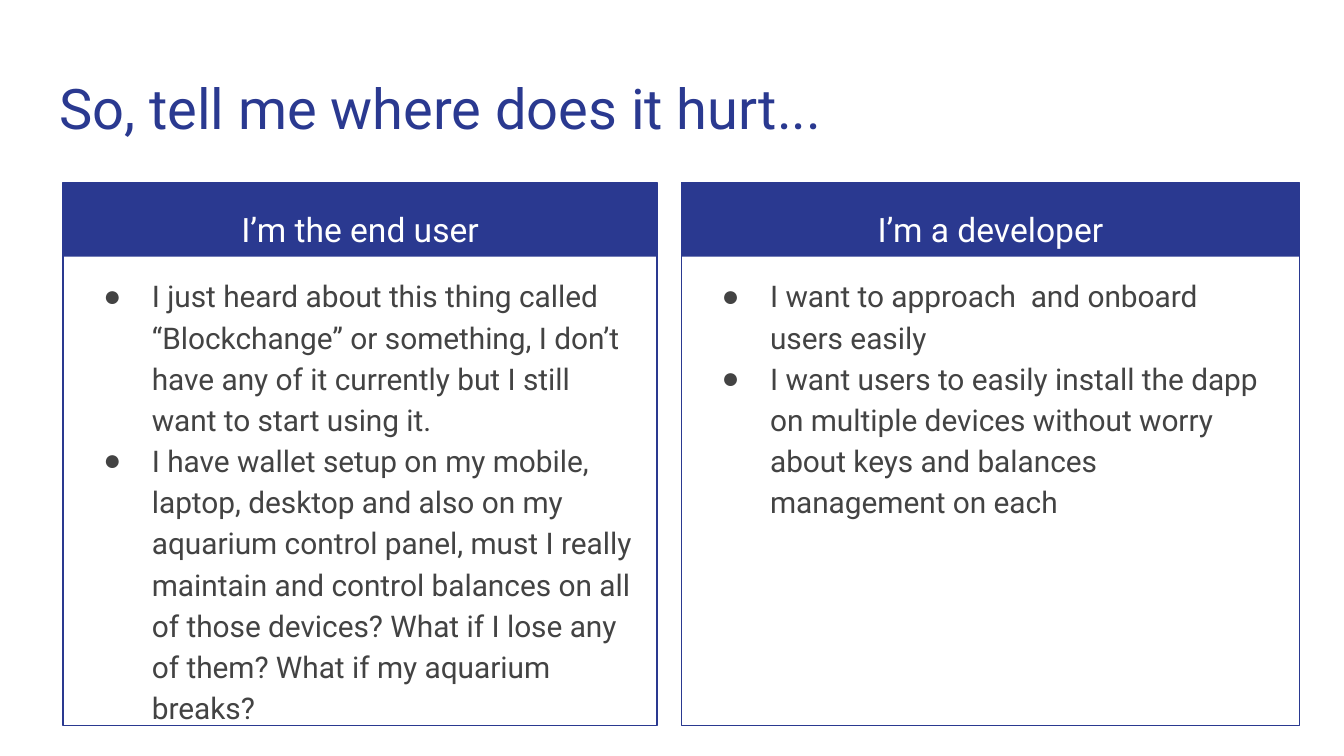
from dataclasses import dataclass

from lxml.etree import SubElement
from pptx import Presentation
from pptx.dml.color import RGBColor
from pptx.enum.shapes import MSO_SHAPE as Shape
from pptx.enum.text import MSO_ANCHOR as Anchor, MSO_AUTO_SIZE as AutoSize, PP_ALIGN as Align
from pptx.oxml.ns import qn
from pptx.util import Emu, Pt

EMU_PER_PX = 4572
COMPARISON_LAYOUT = 4
PANEL_TOP, PANEL_HEIGHT, BAND_HEIGHT = 272, 808, 110
HEADING_WIDTH, LIST_MARGIN = 546, 12


@dataclass(frozen=True)
class Theme:
    """Colours, font and type sizes of the slide."""
    navy: str = "2A3990"
    grey: str = "434343"
    white: str = "FFFFFF"
    font: str = "Roboto"
    title: int = 30
    heading: int = 18
    body: int = 16
    outline: float = 0.75


THEME = Theme()


@dataclass(frozen=True)
class Column:
    """One audience with its panel and list measures."""
    left: int
    width: int
    list_width: int
    heading: str
    pains: tuple


COLUMNS = [
    Column(94, 884, 862, "I’m the end user", (
        "I just heard about this thing called “Blockchange” or something, "
        "I don’t have any of it currently but I still want to start using it.",
        "I have wallet setup on my mobile, laptop, desktop and also on my "
        "aquarium control panel, must I really maintain and control balances "
        "on all of those devices? What if I lose any of them? "
        "What if my aquarium breaks?",
    )),
    Column(1014, 920, 892, "I’m a developer", (
        "I want to approach  and onboard users easily",
        "I want users to easily install the dapp on multiple devices without "
        "worry about keys and balances management on each",
    )),
]


def px(length):
    """Turn px into EMU."""
    return Emu(length * EMU_PER_PX)


def rgb(colour):
    """Turn a hex string into a colour."""
    return RGBColor.from_string(colour)


def add_bullet(paragraph):
    """Give a paragraph a round bullet with a hanging indent."""
    properties = paragraph._p.get_or_add_pPr()
    properties.set("marL", str(px(100)))
    properties.set("indent", str(px(-72)))
    bullet_colour = SubElement(properties, qn("a:buClr"))
    SubElement(bullet_colour, qn("a:srgbClr"), val=THEME.grey)
    SubElement(properties, qn("a:buChar"), char="●")


def fill_placeholder(placeholder, box, lines, size, colour, align=Align.LEFT,
                     anchor=Anchor.TOP, spacing=1.15, bulleted=False):
    """Place a placeholder and set its text and format."""
    placeholder.left, placeholder.top, placeholder.width, placeholder.height = map(px, box)
    frame = placeholder.text_frame
    frame.text = "\n".join(lines)
    frame.word_wrap, frame.auto_size = True, AutoSize.NONE
    frame.vertical_anchor = anchor
    frame.margin_left = frame.margin_right = frame.margin_top = frame.margin_bottom = px(20)
    for paragraph in frame.paragraphs:
        paragraph.alignment = align
        paragraph.line_spacing = spacing
        paragraph.space_before = paragraph.space_after = Pt(0)
        if bulleted:
            add_bullet(paragraph)
        font = paragraph.font
        font.name, font.size, font.bold = THEME.font, Pt(size), False
        font.color.rgb = rgb(colour)


def add_panel(slide, left, width):
    """Draw a header band and an outlined frame as one group."""
    panel = slide.shapes.add_group_shape()
    band, frame = (
        panel.shapes.add_shape(Shape.RECTANGLE, *map(px, (left, PANEL_TOP, width, height)))
        for height in (BAND_HEIGHT, PANEL_HEIGHT)
    )
    band.shadow.inherit = frame.shadow.inherit = False
    band.fill.solid()
    band.fill.fore_color.rgb = rgb(THEME.navy)
    band.line.fill.background()
    frame.fill.background()
    frame.line.color.rgb = rgb(THEME.navy)
    frame.line.width = Pt(THEME.outline)
    return panel


def add_column(slide, heading, answers, column):
    """Build one panel behind its heading and list."""
    panel = add_panel(slide, column.left, column.width)
    slide.shapes.title.element.addnext(panel.element)
    heading_left = column.left + (column.width - HEADING_WIDTH) // 2
    fill_placeholder(heading, (heading_left, 286, HEADING_WIDTH, 100), [column.heading],
                     THEME.heading, THEME.white, Align.CENTER, Anchor.MIDDLE)
    fill_placeholder(answers, (column.left + LIST_MARGIN, 386, column.list_width, 678),
                     column.pains, THEME.body, THEME.grey, bulleted=True)


def main():
    """Build and save the slide."""
    deck = Presentation()
    deck.slide_width, deck.slide_height = px(2000), px(1125)
    slide = deck.slides.add_slide(deck.slide_layouts[COMPARISON_LAYOUT])
    title, *bodies = slide.placeholders
    fill_placeholder(title, (68, 90, 1864, 132), ["So, tell me where does it hurt..."],
                     THEME.title, THEME.navy, spacing=1.0)
    for heading, answers, column in zip(bodies[::2], bodies[1::2], COLUMNS):
        add_column(slide, heading, answers, column)
    deck.save("out.pptx")


if __name__ == "__main__":
    main()
